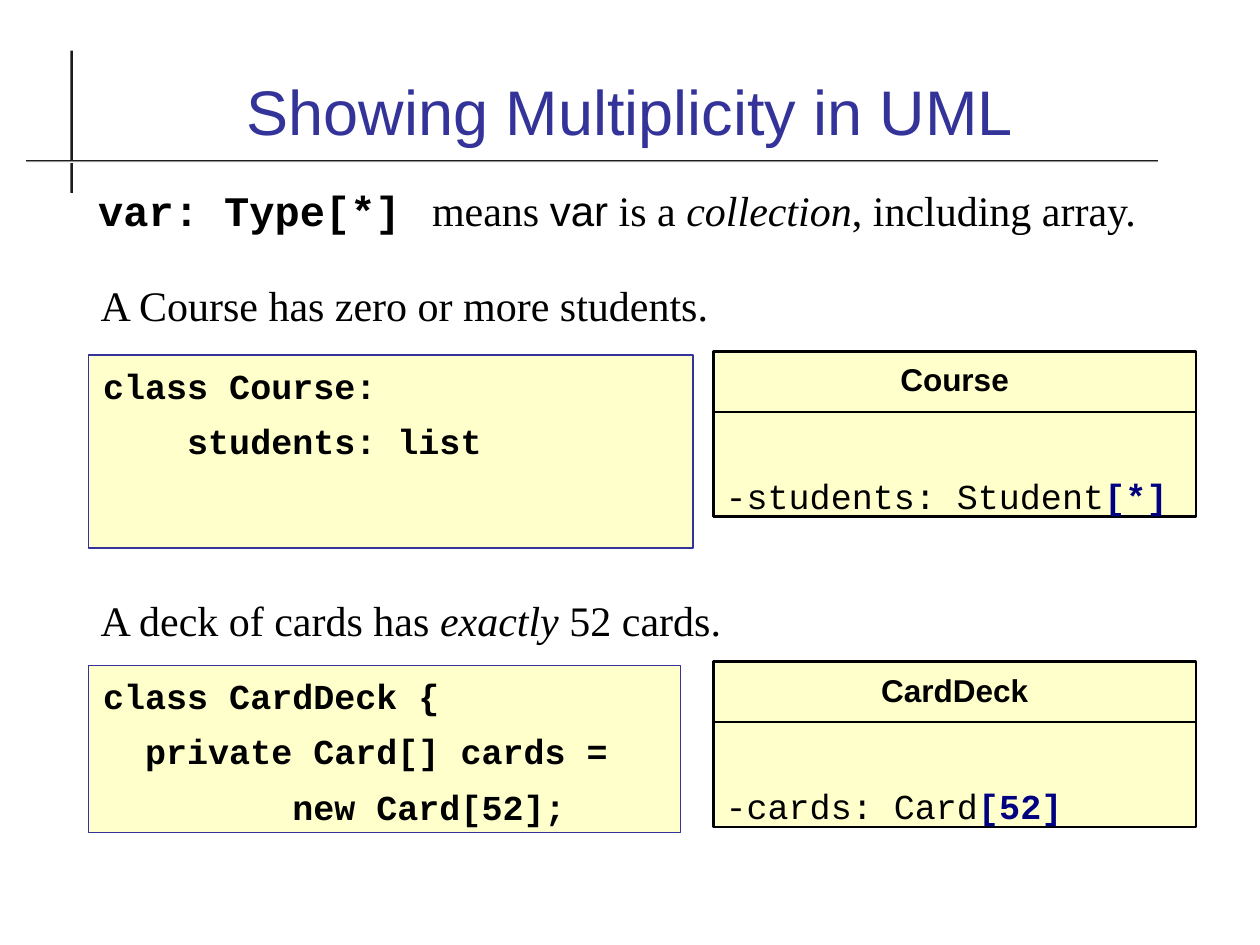
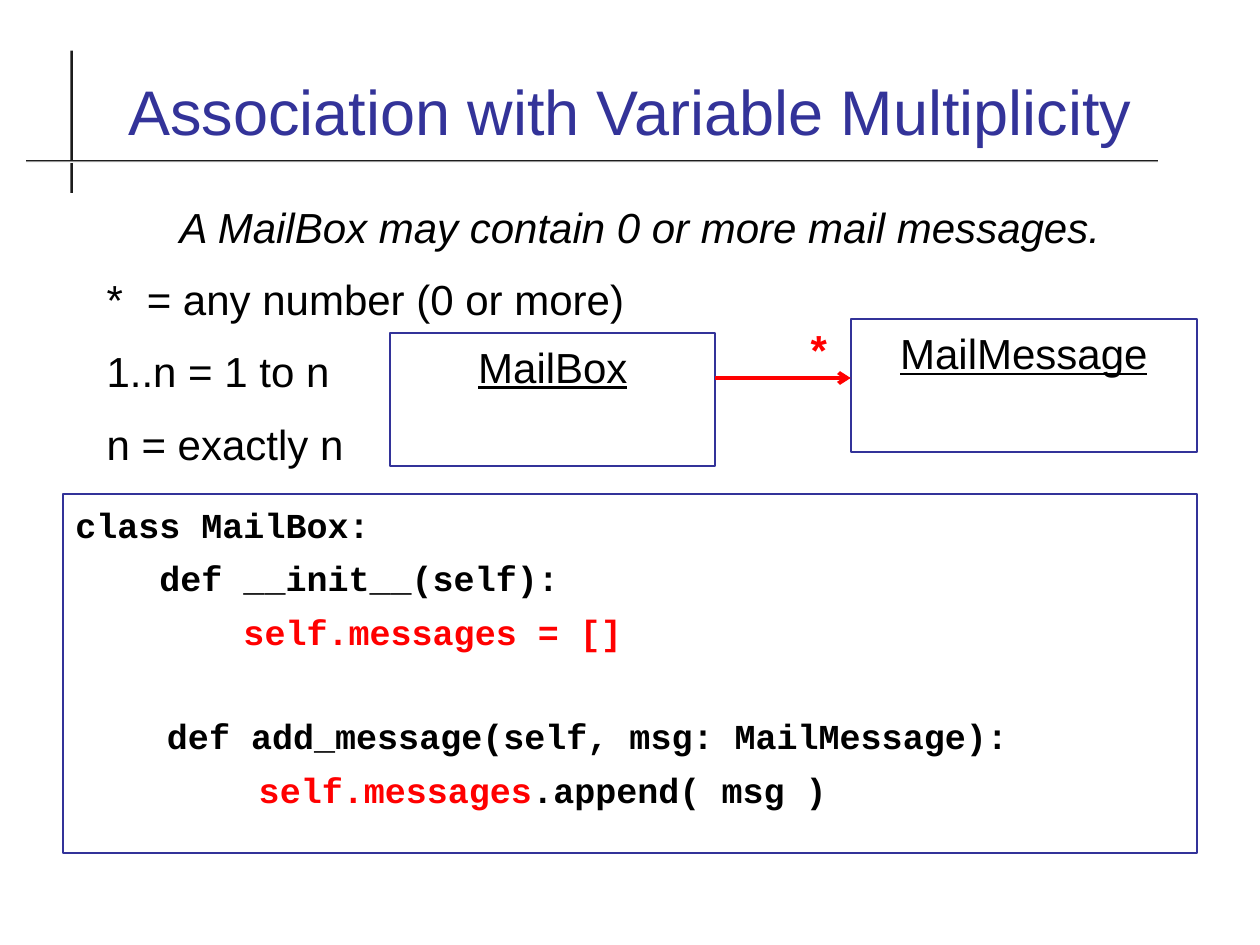
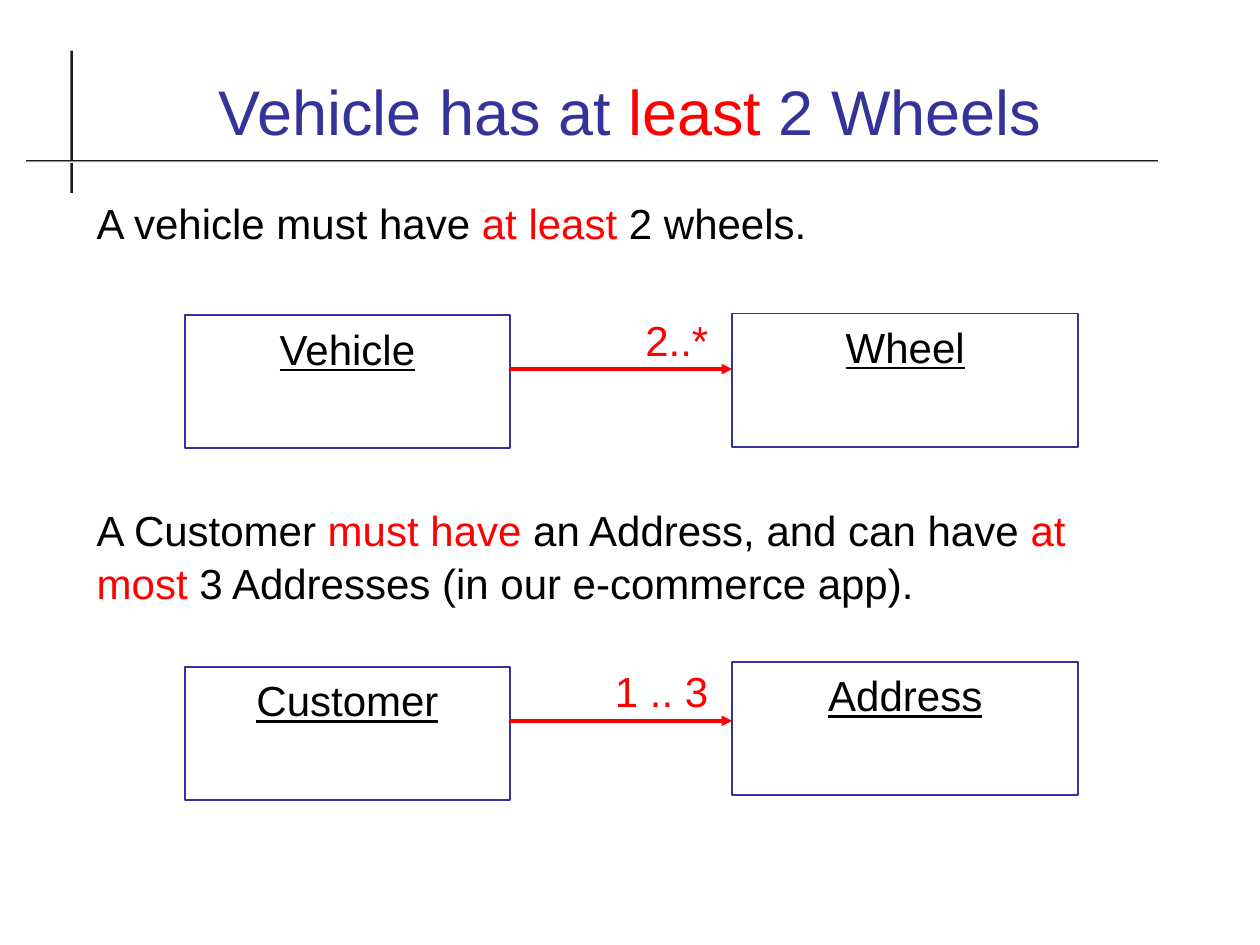
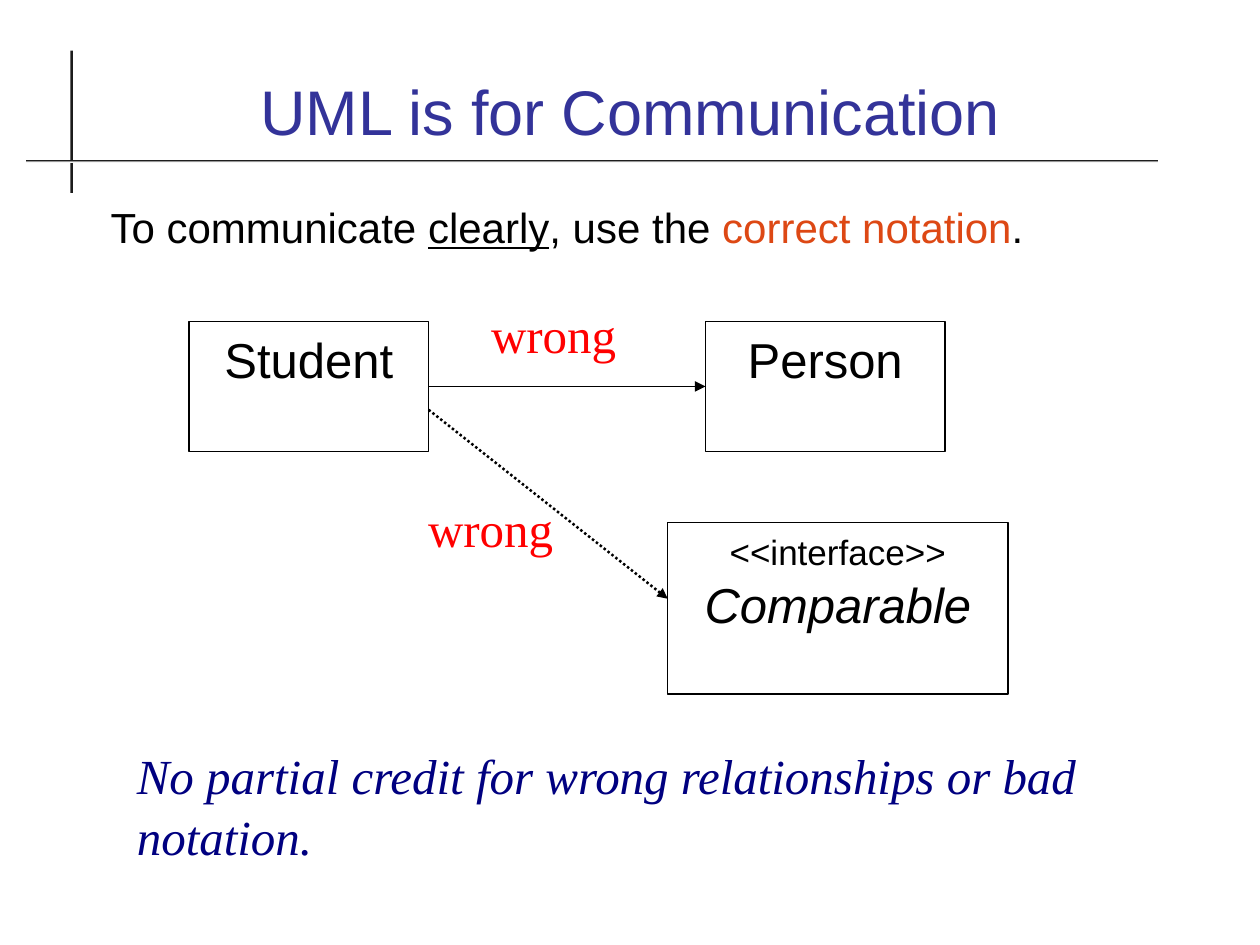
import pptx
import pptx.dml.color
import pptx.enum.dml
import pptx.enum.shapes
import pptx.enum.text
import pptx.oxml.ns
import pptx.util
from lxml import etree

Cm, Pt = pptx.util.Cm, pptx.util.Pt
qn = pptx.oxml.ns.qn
RECT = pptx.enum.shapes.MSO_SHAPE.RECTANGLE
STRAIGHT = pptx.enum.shapes.MSO_CONNECTOR.STRAIGHT
LEFT = pptx.enum.text.PP_ALIGN.LEFT
CENTER = pptx.enum.text.PP_ALIGN.CENTER
RIGHT = pptx.enum.text.PP_ALIGN.RIGHT

COLORS = {
    "title": "333399", "ink": "000000", "rule": "1C1C1C", "paper": "FFFFFF",
    "code": "FFFFCC", "navy": "000080", "red": "FF0000", "orange": "DD4814",
}
SANS, SERIF, MONO = "Arial", "Times New Roman", "Courier New"
RED = {"color": "red"}
ITALIC = {"italic": True}


def rgb(name):
    return pptx.dml.color.RGBColor.from_string(COLORS[name])


def set_font(font, name=None, size=None, color=None, **flags):
    if name:
        font.name = name
    if size:
        font.size = Pt(size)
    if color:
        font.color.rgb = rgb(color)
    for flag, value in flags.items():
        setattr(font, flag, value)


def set_tabs(p, stops):
    tabs = etree.SubElement(p._p.get_or_add_pPr(), qn("a:tabLst"))
    for stop in stops:
        etree.SubElement(tabs, qn("a:tab"), pos=str(Cm(stop)), algn="l")


def write(tf, p, content, align=LEFT, before=0, spacing=1.04, tabs=(), **font):
    """Fill a paragraph with a string or a list of strings and (string, font) pairs."""
    p.alignment = align
    p.line_spacing = spacing
    p.space_before = Pt(before if p is not tf.paragraphs[0] and len(tf.paragraphs) > 1
                        and p._p is not tf.paragraphs[0]._p else 0)
    if tabs:
        set_tabs(p, tabs)
    set_font(p.font, **{"name": SANS, "size": 24, "color": "ink", **font})
    for part in [content] if isinstance(content, str) else content:
        text, override = (part, {}) if isinstance(part, str) else part
        r = p.add_run()
        r.text = text
        set_font(r.font, **override)


def add_lines(tf, lines, **style):
    """Write lines; each is content or a pair of content and a dict of its own style."""
    for i, line in enumerate(lines):
        content, own = line if isinstance(line, tuple) else (line, {})
        p = tf.add_paragraph() if i else tf.paragraphs[0]
        write(tf, p, content, **{**style, **own})


def add_text(s, x, y, w, h, lines, **style):
    tf = s.shapes.add_textbox(Cm(x), Cm(y), Cm(w), Cm(h)).text_frame
    tf.word_wrap = True
    add_lines(tf, lines, **style)


def add_box(s, x, y, w, h, lines, line="title", width=1, fill=None, inset=0.25, **style):
    sp = s.shapes.add_shape(RECT, Cm(x), Cm(y), Cm(w), Cm(h))
    sp.shadow.inherit = False
    if fill:
        sp.fill.solid()
        sp.fill.fore_color.rgb = rgb(fill)
    else:
        sp.fill.background()
    sp.line.color.rgb = rgb(line)
    sp.line.width = Pt(width)
    tf = sp.text_frame
    tf.word_wrap = True
    tf.vertical_anchor = pptx.enum.text.MSO_ANCHOR.TOP
    tf.margin_left = Cm(inset)
    add_lines(tf, lines, **style)
    return sp


def add_line(s, x1, y1, x2, y2, color="ink", width=1.0, head=None, dash=None):
    c = s.shapes.add_connector(STRAIGHT, Cm(x1), Cm(y1), Cm(x2), Cm(y2))
    c.line.color.rgb = rgb(color)
    c.line.width = Pt(width)
    if dash:
        c.line.dash_style = dash
    if head:
        etree.SubElement(c.line._get_or_add_ln(), qn("a:tailEnd"), type=head)
    etree.SubElement(c.element.spPr, qn("a:effectLst"))
    return c


def design_layout(layout, s):
    """Place the title and the crossed rules on the layout, using s to make the rules."""
    title = layout.placeholders[0]
    title.left, title.top, title.width, title.height = Cm(1.7), Cm(0.71), Cm(22), Cm(2.41)
    vertical = s.shapes.add_shape(RECT, Cm(1.42), Cm(1.02), Cm(0.05), Cm(2.87))
    vertical.fill.solid()
    vertical.fill.fore_color.rgb = rgb("rule")
    horizontal = s.shapes.add_shape(RECT, Cm(0.53), Cm(3.23), Cm(22.81), Cm(0.05))
    horizontal.fill.gradient()
    horizontal.fill.gradient_angle = 90
    for stop, color in zip(horizontal.fill.gradient_stops, ("paper", "rule")):
        stop.color.rgb = rgb(color)
    for number, sp in enumerate((vertical, horizontal), 20):
        sp.shadow.inherit = False
        sp.line.fill.background()
        sp.element.nvSpPr.cNvPr.set("id", str(number))
        layout.shapes.element.append(sp.element)


def add_slide(prs, title):
    layout = prs.slide_layouts[5]
    s = prs.slides.add_slide(layout)
    if len(prs.slides) == 1:
        design_layout(layout, s)
    tf = s.shapes.title.text_frame
    tf.vertical_anchor = pptx.enum.text.MSO_ANCHOR.BOTTOM
    add_lines(tf, [title], align=CENTER, spacing=1.0, size=36, color="title")
    return s


def uml_class(s, x, y, name, attribute, multiplicity):
    w, divider = 9.73, y + 1.22
    add_box(s, x, y, w, 3.33, [
        (name, {"align": CENTER, "name": SANS, "size": 18, "bold": True}),
        [attribute, (multiplicity, {"color": "navy", "bold": True})],
    ], line="ink", width=1.5, fill="code", before=42, spacing=1.07, name=MONO, size=20)
    add_line(s, x, divider, x + w, divider)


def code_and_class(s, y, gap, sentence, code, w, h, *uml):
    """A sentence at y; code and its class diagram start gap below it."""
    x = 1.78
    add_text(s, x, y, 22.35, 1.27, [sentence], name=SERIF)
    add_box(s, x, y + gap, w, h, code, width=0.75, fill="code", inset=0.3, before=6,
            spacing=1.07, name=MONO, size=20, bold=True)
    uml_class(s, 14.38, y + gap - 0.07, *uml)


def association(s, x, y, source, target, label, target_x, target_dy, arrow_dy, label_dy,
                head="triangle", width=2.0, **label_style):
    """Two class boxes joined by a red arrow; the source box starts at x, y."""
    w, h = 6.55, 2.69
    style = {"align": CENTER, "underline": True}
    add_box(s, x, y, w, h, [source], **style)
    add_box(s, target_x, y + target_dy, 6.98, h, [target], **style)
    add_line(s, x + w, y + arrow_dy, target_x, y + arrow_dy, "red", width, head)
    label_w = 2.85
    add_text(s, target_x - 0.23 - label_w, y + label_dy, label_w, 1.27, [label],
             align=RIGHT, color="red", **label_style)


def multiplicity_slide(prs):
    s = add_slide(prs, "Showing Multiplicity in UML")
    code_and_class(s, 5.46, 1.7, "A Course has zero or more students.",
                   ["class Course:", "    students: list"], 12.19, 3.89,
                   "Course", "-students: Student", "[*]")
    code_and_class(s, 11.81, 1.6,
                   ["A deck of cards has ", ("exactly", ITALIC), " 52 cards."],
                   ["class CardDeck {", "  private Card[] cards =", "         new Card[52];"],
                   11.94, 3.38, "CardDeck", "-cards: Card", "[52]")
    add_text(s, 1.73, 3.56, 22.35, 2.29, [[
        ("var: Type[*]", {"name": MONO, "bold": True}), "\tmeans ", ("var", {"name": SANS}),
        " is a ", ("collection", ITALIC), ", including array.",
    ]], name=SERIF, tabs=[6.73])


def variable_multiplicity_slide(prs):
    s = add_slide(prs, "Association with Variable Multiplicity")
    add_text(s, 1.9, 3.89, 22, 5.51, [
        ("A MailBox may contain 0 or more mail messages.", {"align": CENTER, **ITALIC}),
        ("*\t= any number (0 or more)", {"tabs": [0.81]}),
        "1..n = 1 to n",
        "n = exactly n",
    ], before=11.4)
    association(s, 7.87, 6.71, "MailBox", "MailMessage", "*", 17.15, -0.28, 0.91, -0.36,
                head="arrow", width=2.25, bold=True)
    add_box(s, 1.27, 9.96, 22.86, 7.24, [
        "class MailBox:",
        "    def __init__(self):",
        ("        self.messages = []", RED),
        ("\t  def add_message(self, msg: MailMessage):", {"before": 34}),
        ["\t\t    ", ("self.messages", RED), ".append( msg )"],
    ], before=5, spacing=1.07, tabs=[1, 2], name=MONO, size=20, bold=True)


def wheels_slide(prs):
    s = add_slide(prs, ["Vehicle has at ", ("least", RED), " 2 Wheels"])
    x, target_x, arrow_dy, label_dy = 3.73, 14.76, 1.09, -0.18
    add_text(s, 1.7, 3.81, 22, 2.54,
             [["A vehicle must have ", ("at least", RED), " 2 wheels."]])
    association(s, x, 6.35, "Vehicle", "Wheel", "2..*", target_x, -0.03, arrow_dy, label_dy)
    add_text(s, 1.7, 10.01, 22, 2.54, [[
        "A Customer ", ("must have", RED), " an Address, and can have ", ("at most", RED),
        " 3 Addresses (in our e-commerce app).",
    ]])
    association(s, x, 13.44, "Customer", "Address", "1 .. 3", target_x, -0.1, arrow_dy, label_dy)


def communication_slide(prs):
    s = add_slide(prs, "UML is for Communication")
    add_text(s, 1.98, 3.89, 22, 2.74, [[
        "To communicate ", ("clearly", {"underline": True}), ", use the ",
        ("correct notation", {"color": "orange"}), ".",
    ]])
    style = {"line": "ink", "width": 0.75, "align": CENTER, "size": 28}
    student, person = (add_box(s, x, 6.48, 4.83, 2.62, [name], **style)
                       for x, name in ((3.81, "Student"), (14.22, "Person")))
    add_box(s, 13.46, 10.54, 6.86, 3.45,
            [("<<interface>>", {"size": 20}), ("Comparable", ITALIC)], **style)
    inherits = add_line(s, 8.64, 7.79, 14.22, 7.79, width=0.75, head="triangle")
    inherits.begin_connect(student, 3)
    inherits.end_connect(person, 1)
    add_line(s, 8.64, 8.26, 13.46, 12.07, width=1.42, head="triangle",
             dash=pptx.enum.dml.MSO_LINE.ROUND_DOT)
    for x, y in ((9.65, 5.97), (8.38, 9.88)):
        add_text(s, x, y, 3.6, 1.45, ["wrong"], name=SERIF, size=28, color="red")
    add_text(s, 2.51, 14.86, 21.87, 1.45,
             ["No partial credit for wrong relationships or bad notation."],
             name=SERIF, size=28, color="navy", italic=True)


def main():
    prs = pptx.Presentation()
    prs.slide_width, prs.slide_height = Cm(25.4), Cm(19.05)
    multiplicity_slide(prs)
    variable_multiplicity_slide(prs)
    wheels_slide(prs)
    communication_slide(prs)
    prs.save("out.pptx")


if __name__ == "__main__":
    main()
